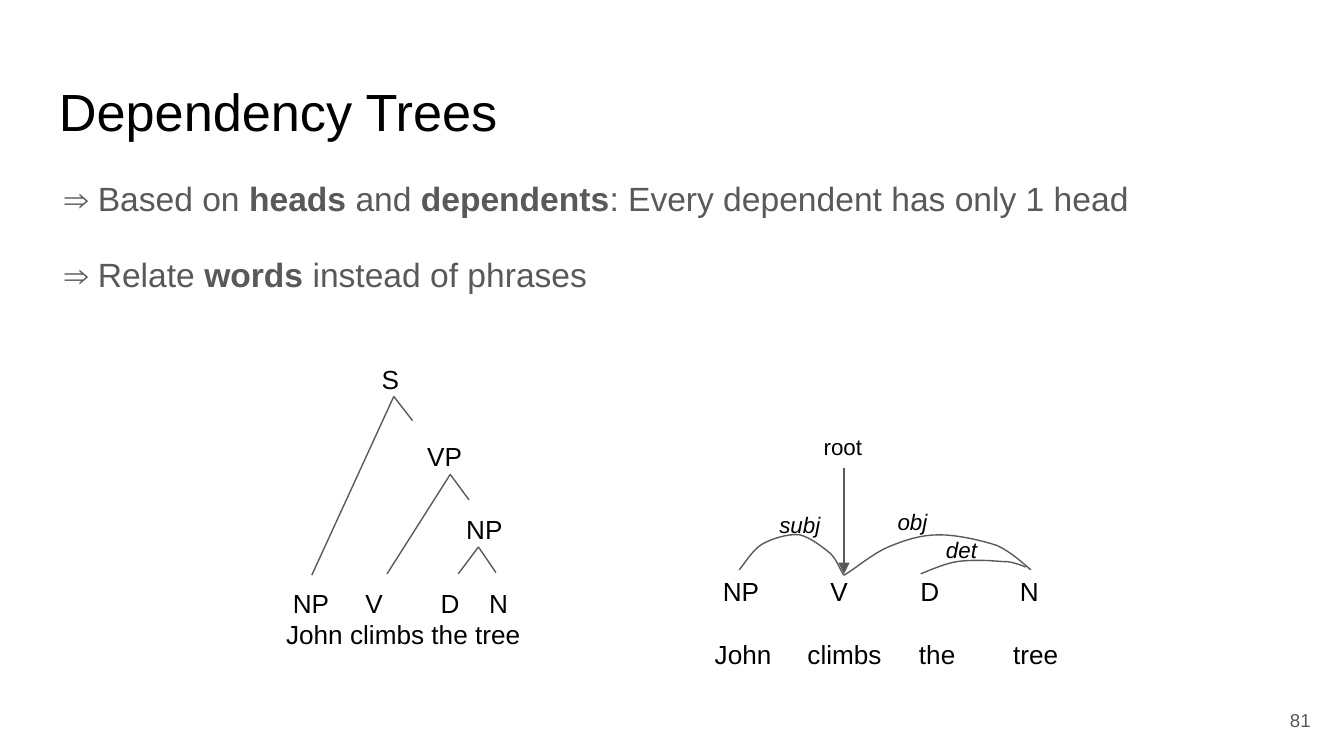
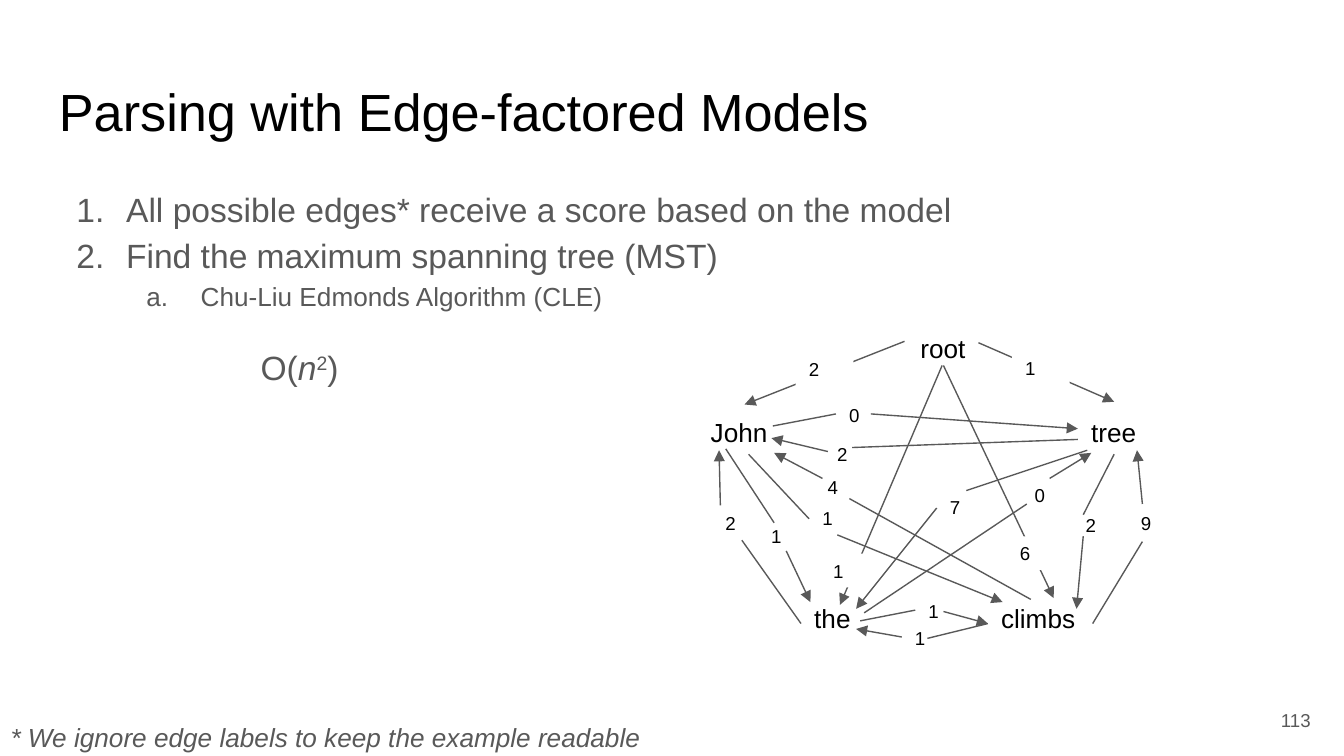
from lxml import etree
from pptx import Presentation, util as u
from pptx.dml.color import RGBColor
from pptx.enum import shapes, text
from pptx.oxml.ns import qn

WIDTH = 10
HEIGHT = WIDTH * 9 / 16
FONT = "Arial"
COLORS = {"ink": "000000", "gray": "595959", "paper": "FFFFFF"}
LINE_WIDTH = 0.75

# Slide 1: runs are (wording, style)
TREES = {
    "title": "Dependency Trees",
    "number": "81",
    "claims": [
        [("⇒ Based on ", ""), ("heads", "b"), (" and ", ""), ("dependents", "b"),
         (": Every dependent has only 1 head", "")],
        [("⇒ Relate ", ""), ("words", "b"), (" instead of phrases", "")],
    ],
}
# Rows of leaves: (words, tab stops in inches)
PHRASE_LEAVES = [
    (["NP", "V", "D", "N"], [0.21, 0.75, 1.31, 1.67]),
    (["John climbs the tree"], [0.16]),
]
DEPENDENCY_LEAVES = [
    (["NP", "V", "D", "N"], [0.22, 1.02, 1.69, 2.43]),
    (["John", "climbs", "the", "tree"], [0.16, 0.85, 1.68, 2.38]),
]
# Phrase nodes: label, label corner, apex, ends of the two branches
PHRASE_NODES = [
    ("S", (2.74, 2.6), (2.93, 2.95), [(2.32, 4.28), (3.07, 3.13)]),
    ("VP", (3.08, 3.18), (3.35, 3.53), [(2.88, 4.27), (3.49, 3.72)]),
    ("NP", (3.37, 3.72), (3.56, 4.07), [(3.41, 4.27), (3.69, 4.26)]),
]
# Relations: label, label corner, Bezier points (start, then three per segment)
RELATIONS = [
    ("subj", (5.7, 3.7), [
        (5.5, 4.24), (5.53, 4.21), (5.6, 4.09), (5.67, 4.05),
        (5.74, 4.01), (5.86, 3.97), (5.95, 3.98),
        (6.03, 4), (6.12, 4.07), (6.18, 4.12),
        (6.23, 4.17), (6.26, 4.26), (6.28, 4.28)]),
    ("obj", (6.58, 3.68), [
        (7.67, 4.24), (7.63, 4.21), (7.53, 4.11), (7.42, 4.06),
        (7.3, 4.02), (7.12, 3.98), (6.99, 3.98),
        (6.85, 3.98), (6.73, 4.02), (6.61, 4.07),
        (6.49, 4.12), (6.34, 4.25), (6.28, 4.28)]),
    ("det", (6.94, 3.89), [
        (6.85, 4.27), (6.88, 4.26), (6.99, 4.21), (7.07, 4.19),
        (7.14, 4.17), (7.23, 4.17), (7.3, 4.17),
        (7.37, 4.17), (7.45, 4.18), (7.5, 4.18),
        (7.56, 4.19), (7.61, 4.21), (7.63, 4.22)]),
]
ROOT = ("root", (6.03, 3.12), (6.28, 3.48), (6.28, 4.27))

# Slide 2: steps are (numbering, left margin, hanging indent, size, wording)
MODELS = {
    "title": "Parsing with Edge-factored Models",
    "number": "113",
    "steps": [
        ("arabicPeriod", 0.5, -0.37, 18,
         "All possible edges* receive a score based on the model"),
        ("arabicPeriod", 0.5, -0.37, 18, "Find the maximum spanning tree (MST)"),
        ("alphaLcPeriod", 1, -0.35, 14, " Chu-Liu Edmonds Algorithm (CLE)"),
    ],
    "cost": [("O(", ""), ("n", "i"), ("2", "^"), (")", "")],
    "footnote": "* We ignore edge labels to keep the example readable",
}
WORDS = [
    ("John", (5.19, 3, 0.77, 0.39)),
    ("climbs", (7.35, 4.38, 0.77, 0.51)),
    ("the", (5.96, 4.38, 0.77, 0.51)),
    ("tree", (8.02, 3, 0.55, 0.39)),
    ("root", (6.75, 2.37, 0.55, 0.35)),
]
# Edges: score, score corner, then points; an edge between words
# is split around its score: start, stop, restart, end
ROOT_EDGES = [
    ("2", (5.92, 2.62), (6.73, 2.54), (5.54, 3.01)),
    ("6", (7.49, 3.99), (7.02, 2.72), (7.84, 4.45)),
    ("1", (7.53, 2.61), (7.28, 2.55), (8.29, 2.99)),
    ("1", (6.1, 4.12), (7.01, 2.72), (6.25, 4.5)),
]
WORD_EDGES = [
    ("2", (5.3, 3.77), (5.96, 4.64), (5.52, 4.02), (5.36, 3.76), (5.35, 3.35)),
    ("1", (5.64, 3.86), (5.4, 3.34), (5.76, 3.89), (5.85, 4.1), (6.03, 4.48)),
    ("0", (6.22, 2.96), (5.75, 3.17), (6.22, 3.08), (6.48, 3.08), (8.02, 3.19)),
    ("2", (6.13, 3.25), (8.02, 3.27), (6.34, 3.33), (6.16, 3.36), (5.74, 3.26)),
    ("1", (6.71, 4.62), (7.35, 4.64), (6.9, 4.75), (6.71, 4.74), (6.37, 4.68)),
    ("1", (6.81, 4.42), (6.4, 4.62), (6.81, 4.54), (7.02, 4.55), (7.35, 4.64)),
    ("9", (8.39, 3.77), (8.13, 4.64), (8.5, 4.03), (8.5, 3.75), (8.46, 3.35)),
    ("2", (7.98, 3.78), (8.29, 3.38), (8.06, 3.83), (8.06, 3.99), (8.01, 4.53)),
    ("4", (6.06, 3.5), (7.67, 4.46), (6.32, 3.71), (6.12, 3.56), (5.76, 3.37)),
    ("1", (6.02, 3.73), (5.57, 3.38), (6.02, 3.86), (6.23, 3.98), (7.46, 4.48)),
    ("7", (6.97, 3.65), (8.09, 3.35), (7.19, 3.65), (6.97, 3.78), (6.37, 4.53)),
    ("0", (7.6, 3.56), (6.43, 4.56), (7.64, 3.75), (7.81, 3.56), (8.12, 3.37)),
]


def color(name):
    return RGBColor.from_string(COLORS[name])


def inches(values):
    return [u.Inches(value) for value in values]


# Text helpers
def set_frame(shape, anchor=text.MSO_ANCHOR.TOP):
    frame = shape.text_frame
    frame.word_wrap = True
    frame.vertical_anchor = anchor
    frame.margin_left = frame.margin_right = u.Inches(0.1)
    frame.margin_top = frame.margin_bottom = u.Inches(0.1)
    return frame


def add_box(page, place, anchor=text.MSO_ANCHOR.TOP):
    return set_frame(page.shapes.add_textbox(*inches(place)), anchor)


def next_para(frame):
    first = frame.paragraphs[0]
    return frame.add_paragraph() if first.runs else first


def write(para, runs, size, ink="ink"):
    for wording, style in runs:
        span = para.add_run()
        span.text = wording
        span.font.name = FONT
        span.font.size = u.Pt(size)
        span.font.color.rgb = color(ink)
        span.font.bold = style == "b"
        span.font.italic = style == "i"
        if style == "^":
            span._r.get_or_add_rPr().set("baseline", "30000")


def add_label(page, wording, place, size, style="", ink="ink"):
    para = add_box(page, place).paragraphs[0]
    write(para, [(wording, style)], size, ink)
    return para


def indent(para, left, hanging=0, numbering=None):
    props = para._p.get_or_add_pPr()
    props.set("marL", str(u.Inches(left)))
    props.set("indent", str(u.Inches(hanging)))
    if numbering:
        bullet_color = etree.SubElement(props, qn("a:buClr"))
        etree.SubElement(bullet_color, qn("a:srgbClr"), val=COLORS["gray"])
        etree.SubElement(props, qn("a:buAutoNum"), type=numbering)


def add_leaves(page, place, rows, gap=0):
    frame = add_box(page, place)
    for row, (words, stops) in enumerate(rows):
        para = next_para(frame)
        write(para, [("".join("\t" + word for word in words), "")], 14)
        para.space_before = u.Pt(gap if row else 0)
        tabs = etree.SubElement(para._p.get_or_add_pPr(), qn("a:tabLst"))
        for stop in stops:
            etree.SubElement(tabs, qn("a:tab"), pos=str(u.Inches(stop)), algn="l")


# Line helpers
def style_line(line):
    line.color.rgb = color("gray")
    line.width = u.Pt(LINE_WIDTH)


def add_line(page, start, end, arrow=False):
    link = page.shapes.add_connector(
        shapes.MSO_CONNECTOR.STRAIGHT, *inches(start + end))
    style_line(link.line)
    if arrow:
        etree.SubElement(link.line._get_or_add_ln(), qn("a:tailEnd"), type="triangle")
    etree.SubElement(link._element.spPr, qn("a:effectLst"))


def bezier_points(points, steps=8):
    for first in range(0, len(points) - 1, 3):
        corners = points[first:first + 4]
        for step in range(1, steps + 1):
            t = step / steps
            weights = ((1 - t) ** 3, 3 * t * (1 - t) ** 2, 3 * t * t * (1 - t), t ** 3)
            yield inches(sum(w * corner[axis] for w, corner in zip(weights, corners))
                         for axis in (0, 1))


def add_arc(page, points):
    builder = page.shapes.build_freeform(*inches(points[0]))
    builder.add_line_segments(list(bezier_points(points)), close=False)
    arc = builder.convert_to_shape()
    arc.shadow.inherit = False
    arc.fill.background()
    style_line(arc.line)


def add_score(page, score, corner):
    tile = page.shapes.add_shape(
        shapes.MSO_SHAPE.RECTANGLE, *inches(corner + (0.43, 0.25)))
    tile.shadow.inherit = False
    tile.fill.solid()
    tile.fill.fore_color.rgb = color("paper")
    tile.line.fill.background()
    para = set_frame(tile, text.MSO_ANCHOR.MIDDLE).paragraphs[0]
    para.alignment = text.PP_ALIGN.LEFT
    write(para, [(score, "")], 10)


# Title and page number shared by the slides
def add_page(deck, content):
    page = deck.slides.add_slide(deck.slide_layouts[6])
    page.background.fill.solid()
    page.background.fill.fore_color.rgb = color("paper")
    add_label(page, content["title"], (0.34, 0.49, 9.32, 0.62), 28)
    number = add_box(page, (9.25, 5.14, 0.6, 0.43), text.MSO_ANCHOR.MIDDLE).paragraphs[0]
    number.alignment = text.PP_ALIGN.RIGHT
    write(number, [(content["number"], "")], 10, "gray")
    return page


def build_trees(deck):
    page = add_page(deck, TREES)
    body = add_box(page, (0.38, 1.18, 9.32, 3.73))
    for row, runs in enumerate(TREES["claims"]):
        para = next_para(body)
        para.line_spacing = 1.15
        para.space_before = u.Pt(16 if row else 0)
        write(para, runs, 18, "gray")

    # Phrase structure tree
    add_leaves(page, (1.87, 4.27, 2.22, 0.51), PHRASE_LEAVES)
    for label, corner, apex, ends in PHRASE_NODES:
        for end in ends:
            add_line(page, end, apex)
        add_label(page, label, corner + (0.48, 0.29), 14)

    # Dependency tree
    add_leaves(page, (5.06, 4.18, 2.93, 0.51), DEPENDENCY_LEAVES, gap=17)
    for label, corner, points in RELATIONS:
        add_arc(page, points)
        add_label(page, label, corner + (0.67, 0.43), 12, "i")
    label, corner, start, end = ROOT
    add_line(page, start, end, arrow=True)
    add_label(page, label, corner + (0.67, 0.43), 12)


def build_models(deck):
    page = add_page(deck, MODELS)
    body = add_box(page, (0.34, 1.26, 9.32, 0.89))
    for numbering, left, hanging, size, wording in MODELS["steps"]:
        para = next_para(body)
        para.line_spacing = 1.15
        indent(para, left, hanging, numbering)
        write(para, [(wording, "")], size, "gray")
    cost = next_para(body)
    cost.line_spacing = 1.15
    cost.space_before = u.Pt(16)
    indent(cost, 1.5)
    write(cost, MODELS["cost"], 18, "gray")
    note = add_label(page, MODELS["footnote"], (-0.02, 5.23, 9.32, 0.51), 14, "i", "gray")
    note.line_spacing = 1.15

    # Scored graph: scores cover the root edges
    for word, place in WORDS:
        add_label(page, word, place, 14)
    for _, _, start, end in ROOT_EDGES:
        add_line(page, start, end, arrow=True)
    for score, corner, *_ in ROOT_EDGES + WORD_EDGES:
        add_score(page, score, corner)
    for _, _, start, stop, restart, end in WORD_EDGES:
        add_line(page, start, stop)
        add_line(page, restart, end, arrow=True)


def main():
    deck = Presentation()
    deck.slide_width, deck.slide_height = inches((WIDTH, HEIGHT))
    build_trees(deck)
    build_models(deck)
    deck.save("out.pptx")


if __name__ == "__main__":
    main()
